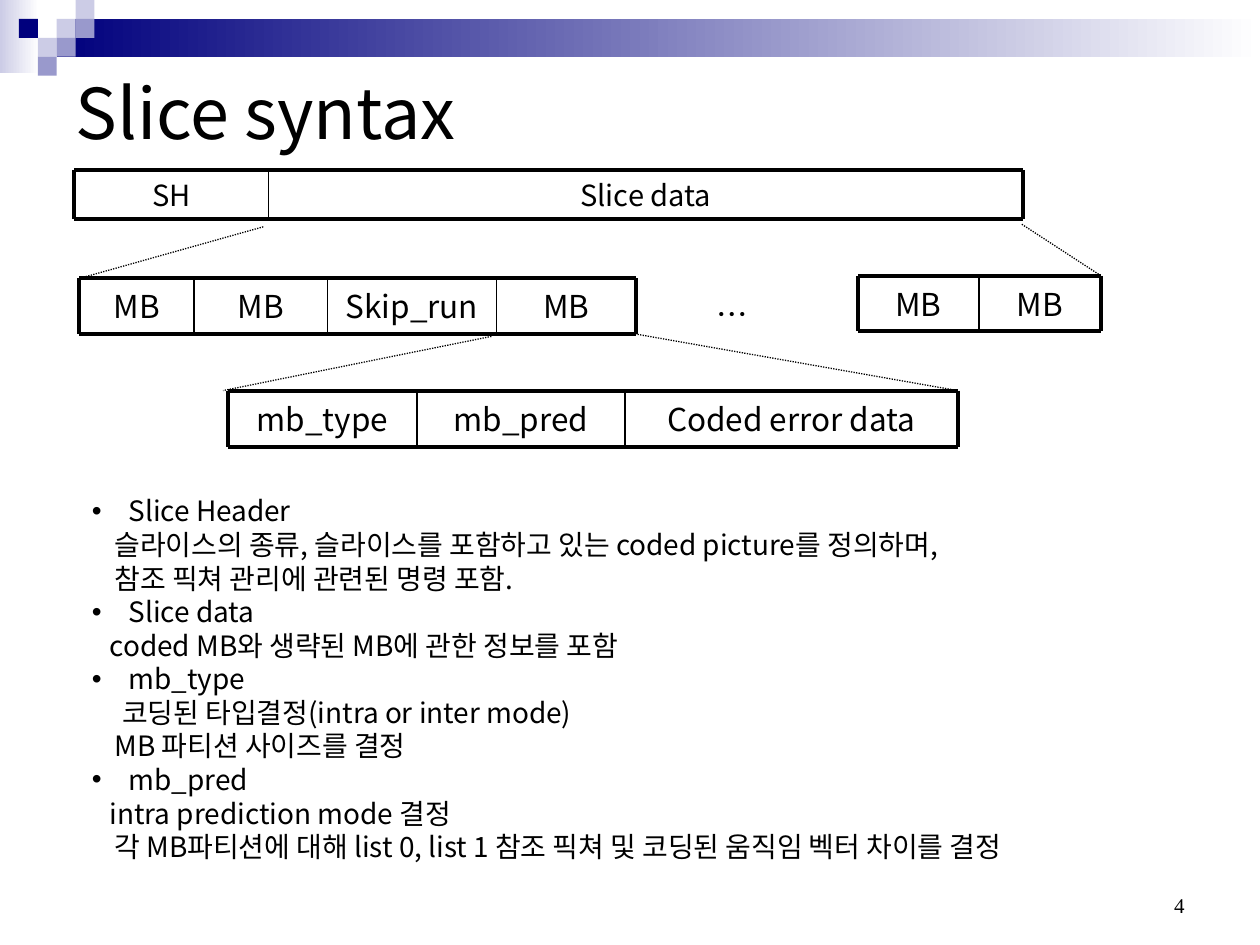
import dataclasses

import pptx
import pptx.dml.color
import pptx.enum.dml
import pptx.enum.shapes
import pptx.enum.text
import pptx.oxml
import pptx.oxml.ns
import pptx.util
from pptx.util import Inches

ALIGN = pptx.enum.text.PP_ALIGN
ANCHOR = pptx.enum.text.MSO_ANCHOR


@dataclasses.dataclass(frozen=True)
class Theme:
    font: str = "Noto Sans CJK KR"
    number_font: str = "Times New Roman"
    ink: str = "000000"
    white: str = "FFFFFF"
    navy: str = "00007D"
    lilac: str = "9999CC"
    pale: str = "CCCCE6"
    title: float = 40
    cell: float = 18
    header_cell: float = 16.6
    body: float = 16
    number: float = 12
    body_pitch: float = 19.2
    border: float = 2.25
    divider: float = 1
    guide: float = 0.75


THEME = Theme()
SQUARE = 0.15

# Corner squares: column, row, colour
SQUARES = [
    (3, 1, THEME.pale), (4, 0, THEME.pale), (4, 1, THEME.lilac),
    (2, 2, THEME.pale), (1, 1, THEME.navy), (3, 2, THEME.lilac),
    (2, 3, THEME.lilac),
]

# Field rows: column edges, top, bottom, labels, text size
ROWS = [
    ([0.59, 2.13, 8.12], 1.35, 1.74, ["SH", "Slice data"], THEME.header_cell),
    ([0.63, 1.54, 2.6, 3.94, 5.05], 2.21, 2.65,
     ["MB", "MB", "Skip_run", "MB"], THEME.cell),
    ([1.81, 3.31, 4.96, 7.6], 3.1, 3.55,
     ["mb_type", "mb_pred", "Coded error data"], THEME.cell),
    ([6.81, 7.77, 8.74], 2.19, 2.63, ["MB", "MB"], THEME.cell),
]

# Dotted guides from a field to its expansion
GUIDES = [
    ((2.09, 1.8), (0.63, 2.21)), ((8.11, 1.78), (8.74, 2.19)),
    ((3.9, 2.67), (1.77, 3.1)), ((5.04, 2.65), (7.6, 3.1)),
]

# Each heading with its explanatory lines and their indents
NOTES = [
    ("Slice Header", [
        ("슬라이스의 종류, 슬라이스를 포함하고 있는 coded picture를 정의하며,", 0.18),
        ("참조 픽쳐 관리에 관련된 명령 포함.", 0.18)]),
    ("Slice data", [("coded MB와 생략된 MB에 관한 정보를 포함", 0.14)]),
    ("mb_type", [("코딩된 타입결정(intra or inter mode)", 0.24),
                 ("MB 파티션 사이즈를 결정", 0.18)]),
    ("mb_pred", [
        ("intra prediction mode 결정", 0.14),
        ("각 MB파티션에 대해 list 0, list 1 참조 픽쳐 및 코딩된 움직임 벡터 차이를 결정",
         0.18)]),
]


def rgb(value):
    return pptx.dml.color.RGBColor.from_string(value)


def write(para, text, size=THEME.cell, font=THEME.font, align=ALIGN.LEFT):
    """Put formatted text into a paragraph."""
    para.alignment = align
    para.space_before = para.space_after = pptx.util.Pt(0)
    span = para.add_run()
    span.text = text
    span.font.size = pptx.util.Pt(size)
    span.font.name = font
    span.font.color.rgb = rgb(THEME.ink)
    properties = span.font._element
    east_asian = pptx.oxml.parse_xml(
        f'<a:ea {pptx.oxml.ns.nsdecls("a")} typeface="{font}"/>')
    properties.find(pptx.oxml.ns.qn("a:latin")).addnext(east_asian)


def place(shape, left, top, width, height):
    shape.left, shape.top = Inches(left), Inches(top)
    shape.width, shape.height = Inches(width), Inches(height)


def prepare_frame(shape, anchor):
    frame = shape.text_frame
    frame.word_wrap = True
    frame.auto_size = pptx.enum.text.MSO_AUTO_SIZE.NONE
    frame.vertical_anchor = anchor
    return frame


def add_label(page, bounds, text, anchor=ANCHOR.MIDDLE, **style):
    box = page.shapes.add_textbox(*map(Inches, bounds))
    write(prepare_frame(box, anchor).paragraphs[0], text, **style)


def add_block(page, bounds, color, fade=False):
    block = page.shapes.add_shape(
        pptx.enum.shapes.MSO_SHAPE.RECTANGLE, *map(Inches, bounds))
    block.shadow.inherit = False
    block.line.fill.background()
    if fade:
        block.fill.gradient()
        block.fill.gradient_angle = 180
        for stop, tone in zip(block.fill.gradient_stops, (THEME.white, color)):
            stop.color.rgb = rgb(tone)
    else:
        block.fill.solid()
        block.fill.fore_color.rgb = rgb(color)


def add_line(page, start, end, width, dotted=False):
    line = page.shapes.add_connector(
        pptx.enum.shapes.MSO_CONNECTOR.STRAIGHT, *map(Inches, start + end))
    line.line.width = pptx.util.Pt(width)
    line.line.color.rgb = rgb(THEME.ink)
    if dotted:
        line.line.dash_style = pptx.enum.dml.MSO_LINE.ROUND_DOT
    line._element.spPr.append(pptx.oxml.parse_xml(
        f'<a:effectLst {pptx.oxml.ns.nsdecls("a")}/>'))


def add_row(page, edges, top, bottom, labels, size):
    """Draw a row of fields with a heavy frame and thin dividers."""
    for left, right, label in zip(edges, edges[1:], labels):
        add_label(page, (left, top, right - left, bottom - top), label,
                  size=size, align=ALIGN.CENTER)
    for y in (top, bottom):
        add_line(page, (edges[0], y), (edges[-1], y), THEME.border)
    for x in edges:
        outer = x in (edges[0], edges[-1])
        add_line(page, (x, top), (x, bottom),
                 THEME.border if outer else THEME.divider)


def set_indent(para, margin, bullet=False):
    properties = para._p.get_or_add_pPr()
    properties.set("marL", str(Inches(margin)))
    properties.set("indent", str(Inches(-margin if bullet else 0)))
    mark = 'buChar char="•"' if bullet else "buNone"
    properties.append(pptx.oxml.parse_xml(
        f'<a:{mark} {pptx.oxml.ns.nsdecls("a")}/>'))


def fill_notes(body):
    place(body, 0.63, 3.83, 8.82, 3.07)
    frame = prepare_frame(body, ANCHOR.TOP)
    frame.margin_top = Inches(0.09)
    lines = []
    for heading, details in NOTES:
        lines.append((heading, 0.29, True))
        lines += [(text, indent, False) for text, indent in details]
    for index, (text, indent, bullet) in enumerate(lines):
        para = frame.add_paragraph() if index else frame.paragraphs[0]
        write(para, text, size=THEME.body)
        para.line_spacing = pptx.util.Pt(THEME.body_pitch)
        set_indent(para, indent, bullet)


def main():
    deck = pptx.Presentation()
    deck.slide_width, deck.slide_height = Inches(10), Inches(7.5)
    page = deck.slides.add_slide(deck.slide_layouts[1])

    # Header band and corner squares
    add_block(page, (0, 0, 0.31, 0.58), THEME.pale, fade=True)
    add_block(page, (0.45, 0.15, 9.55, 0.3), THEME.navy, fade=True)
    for column, row, color in SQUARES:
        add_block(page, (column * SQUARE, row * SQUARE, SQUARE, SQUARE), color)

    # Title
    title = page.shapes.title
    place(title, 0.5, 0.5, 9, 0.77)
    write(prepare_frame(title, ANCHOR.MIDDLE).paragraphs[0], "Slice syntax",
          size=THEME.title)

    # Syntax diagram
    for row in ROWS:
        add_row(page, *row)
    for start, end in GUIDES:
        add_line(page, start, end, THEME.guide, dotted=True)
    add_label(page, (5.59, 2.29, 0.63, 0.4), "…", anchor=ANCHOR.TOP)

    # Explanations and page number
    fill_notes(page.placeholders[1])
    add_label(page, (7.17, 6.83, 2.33, 0.5), "4", anchor=ANCHOR.BOTTOM,
              size=THEME.number, font=THEME.number_font, align=ALIGN.RIGHT)

    deck.save("out.pptx")


if __name__ == "__main__":
    main()
